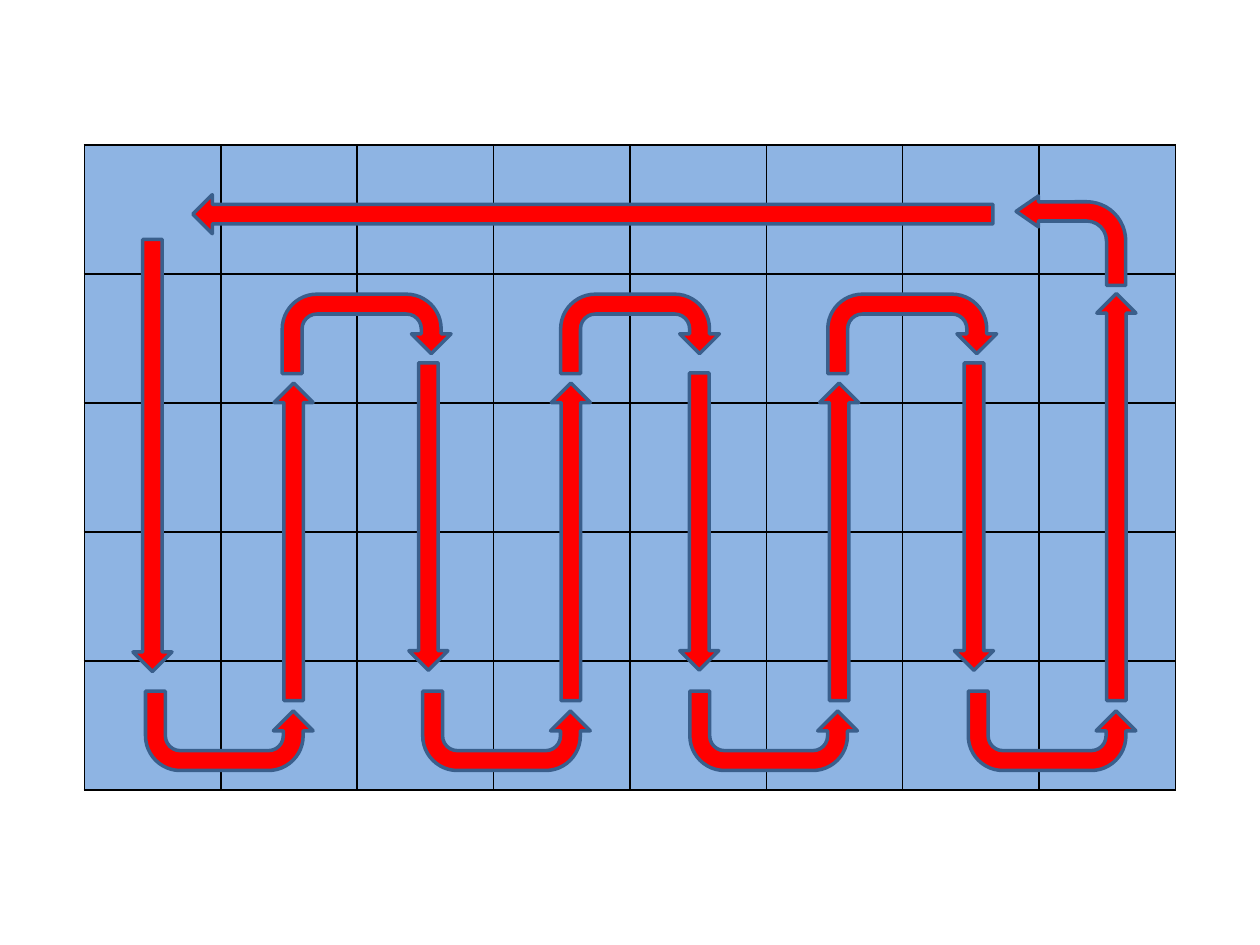
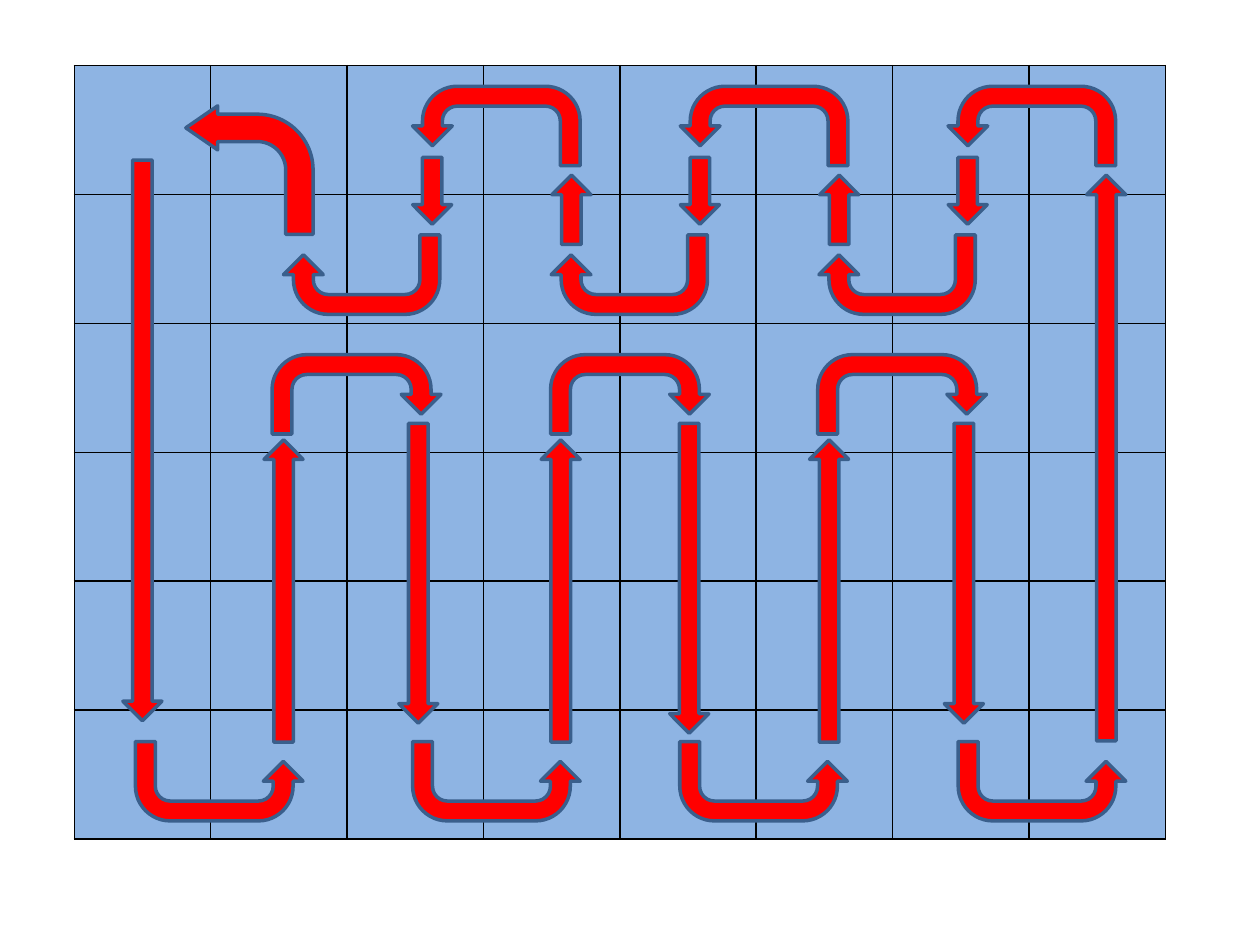
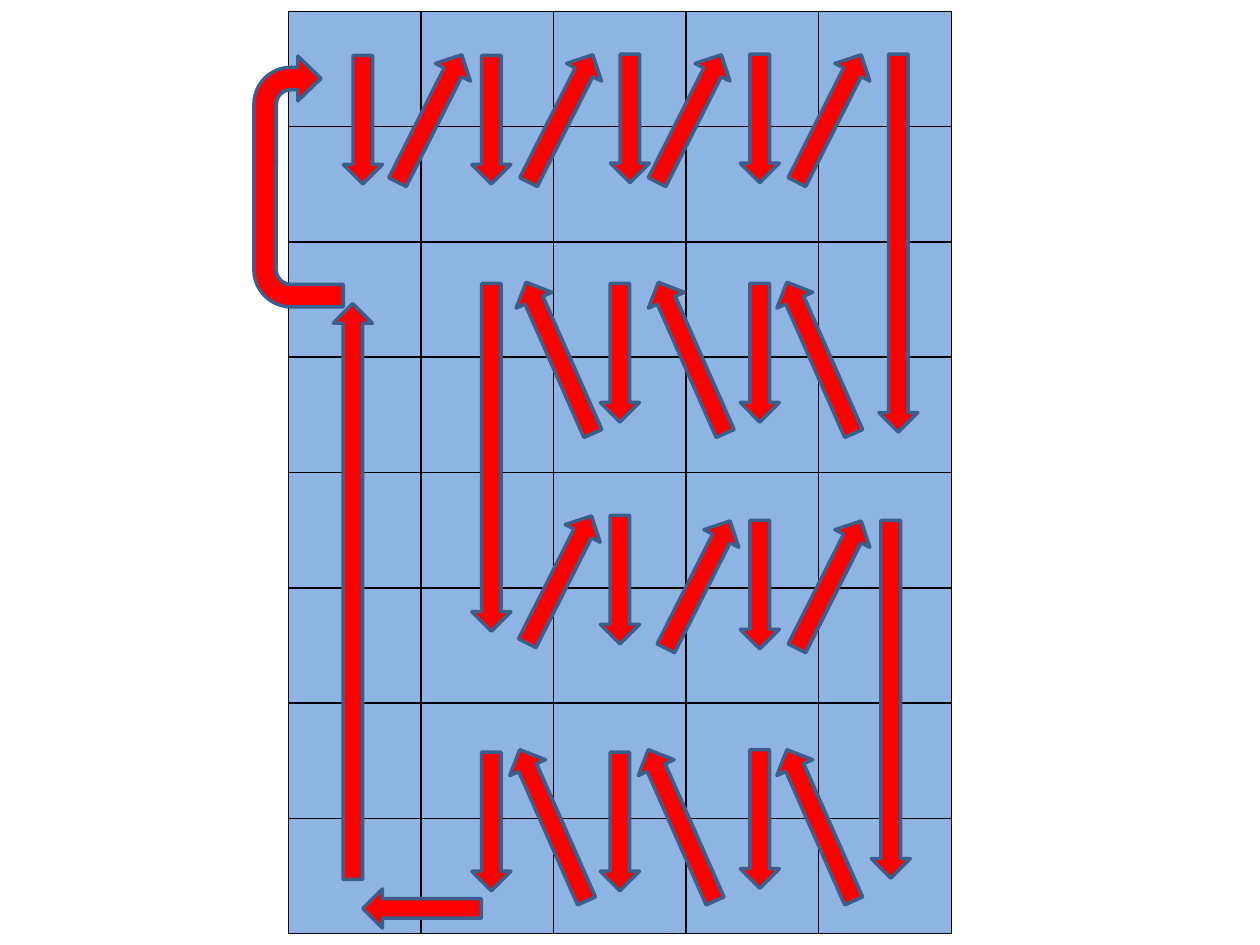
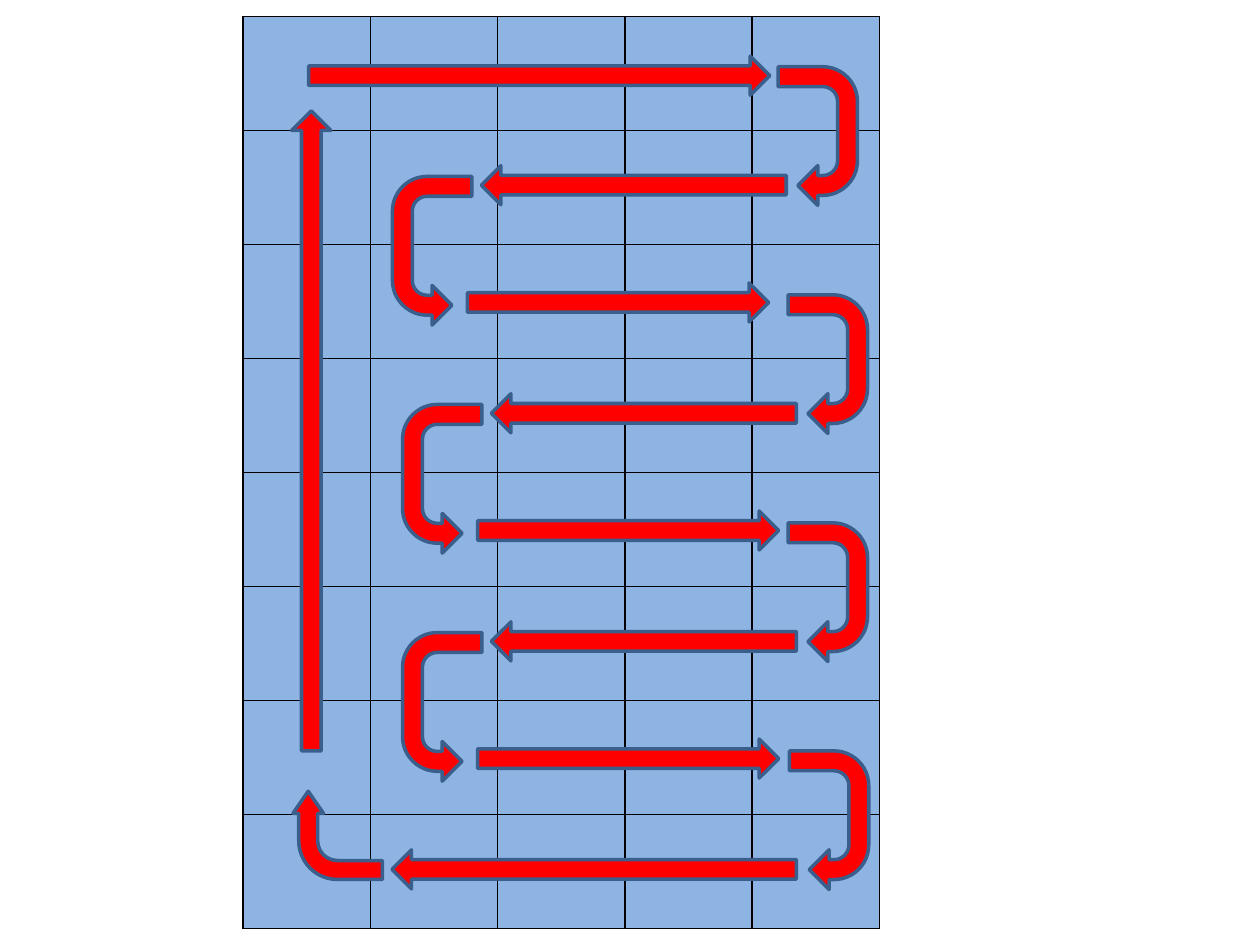
from math import atan2, degrees, hypot

from lxml.etree import SubElement
from pptx import Presentation
from pptx.dml.color import RGBColor
from pptx.enum.shapes import MSO_SHAPE as Preset
from pptx.oxml.ns import qn
from pptx.util import Inches, Pt

SLIDE_COLUMNS, SLIDE_ROWS = 10, 7.5
UNIT = Inches(1)
CELL_BLUE = RGBColor(0x8E, 0xB4, 0xE3)
GRID_BLACK = RGBColor(0x00, 0x00, 0x00)
ARROW_RED = RGBColor(0xFF, 0x00, 0x00)
OUTLINE_BLUE = RGBColor(0x3A, 0x5F, 0x8C)
ARROW_WIDTH = 0.31
TURN_DEPTH = 0.63
BEND_ADJUSTMENTS = (0.215, 0.173, 0.25, 0.438)


def units(value):
    """Convert slide columns or rows to a length."""
    return round(value * UNIT)


def border_cell(cell):
    """Draw a thin black line on each side of a cell."""
    properties = cell._tc.get_or_add_tcPr()
    for side in ("a:lnL", "a:lnR", "a:lnT", "a:lnB"):
        line = SubElement(properties, qn(side), w=str(Pt(1)))
        fill = SubElement(line, qn("a:solidFill"))
        SubElement(fill, qn("a:srgbClr"), val=str(GRID_BLACK))


def add_field(slide, left, top, width, height, columns, rows):
    """Add the blue field as a table of equal cells."""
    table = slide.shapes.add_table(
        rows, columns, units(left), units(top), units(width), units(height)).table
    table.first_row = table.horz_banding = False
    for column in table.columns:
        column.width = units(width / columns)
    for row in table.rows:
        row.height = units(height / rows)
    for cell in table.iter_cells():
        border_cell(cell)
        cell.fill.solid()
        cell.fill.fore_color.rgb = CELL_BLUE


def add_arrow(slide, preset, center, size, rotation=0, flip=False, adjustments=()):
    """Add a red block arrow around its centre."""
    (x, y), (width, height) = center, size
    shape = slide.shapes.add_shape(
        preset, units(x - width / 2), units(y - height / 2), units(width), units(height))
    shape.rotation = rotation
    shape.shadow.inherit = False
    shape.fill.solid()
    shape.fill.fore_color.rgb = ARROW_RED
    shape.line.color.rgb = OUTLINE_BLUE
    shape.line.width = Pt(2)
    for index, value in enumerate(adjustments):
        shape.adjustments[index] = value
    if flip:
        shape.element.spPr.find(qn("a:xfrm")).set("flipH", "1")


def add_straight(slide, tail, head):
    """Add a straight arrow from tail to head."""
    run, rise = head[0] - tail[0], head[1] - tail[1]
    center = (tail[0] + head[0]) / 2, (tail[1] + head[1]) / 2
    add_arrow(slide, Preset.DOWN_ARROW, center, (ARROW_WIDTH, hypot(run, rise)),
              degrees(atan2(-run, rise)) % 360)


def add_vertical(slide, x, start, end):
    """Add an upright arrow between two heights."""
    add_straight(slide, (x, start), (x, end))


def add_horizontal(slide, y, start, end):
    """Add a level arrow between two sides."""
    add_straight(slide, (start, y), (end, y))


def add_slants(slide, y, centers, run, rise):
    """Add parallel slanted arrows that point upwards."""
    for x in centers:
        add_straight(slide, (x - run / 2, y + rise / 2), (x + run / 2, y - rise / 2))


def add_turn(slide, center, span, rotation=0, flip=False):
    """Add a U-turn arrow."""
    add_arrow(slide, Preset.U_TURN_ARROW, center, (span, TURN_DEPTH), rotation, flip)


def add_bend(slide, center, size, rotation=0, flip=False):
    """Add a quarter-turn arrow."""
    add_arrow(slide, Preset.BENT_ARROW, center, size, rotation, flip, BEND_ADJUSTMENTS)


def add_weave(slide, shift, low_turn, high_turn, first, last, up, downs):
    """Add the up-and-down route that crosses the field to the right."""
    add_vertical(slide, 1.21 + shift, *first)
    for x in (1.82, 4.02, 6.14, 8.35):
        add_turn(slide, (x + shift, low_turn), 1.33, 180, True)
    for x in (2.33, 4.53, 6.66):
        add_vertical(slide, x + shift, *up)
    for x, span in ((2.91, 1.34), (5.08, 1.26), (7.24, 1.34)):
        add_turn(slide, (x + shift, high_turn), span)
    for x, heights in zip((3.4, 5.55, 7.73), downs):
        add_vertical(slide, x + shift, *heights)
    add_vertical(slide, 8.86 + shift, *last)


def build_straight_return(slide):
    """Weave to the right and return along the top row."""
    add_field(slide, 0.67, 1.15, 8.66, 5.12, 8, 5)
    add_weave(slide, 0, 5.8, 2.65, first=(1.9, 5.33), last=(5.56, 2.33),
              up=(5.56, 3.04), downs=((2.88, 5.32), (2.96, 5.32), (2.88, 5.32)))
    add_bend(slide, (8.5, 1.91), (0.87, 0.71), flip=True)
    add_horizontal(slide, 1.7, 7.88, 1.53)


def build_woven_return(slide):
    """Weave to the right and weave back through the top rows."""
    add_field(slide, 0.59, 0.52, 8.66, 6.14, 8, 6)
    add_weave(slide, -0.08, 6.2, 3.13, first=(1.27, 5.72), last=(5.88, 1.39),
              up=(5.89, 3.49), downs=((3.36, 5.74), (3.36, 5.82), (3.36, 5.74)))
    step = 2.125
    for loop in range(3):
        shift = -step * loop
        add_turn(slide, (8.19 + shift, 1), 1.33, flip=True)
        add_vertical(slide, 7.68 + shift, 1.25, 1.78)
        add_turn(slide, (7.12 + shift, 2.18), 1.24, 180)
        if loop < 2:
            add_vertical(slide, 6.66 + shift, 1.94, 1.39)
    add_bend(slide, (1.98, 1.35), (1.01, 1.02), flip=True)


def build_zigzag(slide):
    """Zigzag down the field in pairs of rows."""
    add_field(slide, 2.29, 0.09, 5.26, 7.32, 5, 8)
    strokes = (
        (2.88, 0.44, 1.46), (3.9, 0.44, 1.46), (5, 0.43, 1.45), (6.03, 0.43, 1.45),
        (7.13, 0.43, 3.43),
        (6.03, 2.25, 3.35), (4.92, 2.25, 3.35), (3.9, 2.25, 5.01),
        (4.92, 4.09, 5.11), (6.03, 4.13, 5.15), (7.07, 4.13, 6.97),
        (6.03, 5.95, 7.05), (4.92, 5.97, 7.07), (3.9, 5.97, 7.07),
        (2.8, 6.98, 2.41),
    )
    for stroke in strokes:
        add_vertical(slide, *stroke)
    right_slant, left_slant = (0.51, 1.01), (-0.53, 1.2)
    add_slants(slide, 0.94, (3.41, 4.45, 5.47, 6.58), *right_slant)
    add_slants(slide, 2.84, (6.51, 5.49, 4.44), *left_slant)
    add_slants(slide, 4.6, (4.44,), *right_slant)
    add_slants(slide, 4.64, (5.54, 6.58), *right_slant)
    add_slants(slide, 6.55, (6.51, 5.41, 4.39), *left_slant)
    add_horizontal(slide, 7.21, 3.82, 2.88)
    add_arrow(slide, Preset.U_TURN_ARROW, (2.37, 1.44), (1.99, 0.71), 270,
              adjustments=(0.25, 0.25, 0.258, 0.416, 0.75))


def build_serpentine(slide):
    """Sweep from side to side down the field and return on the left."""
    add_field(slide, 1.93, 0.13, 5.05, 7.24, 5, 8)
    add_vertical(slide, 2.47, 5.96, 0.88)
    add_bend(slide, (2.68, 6.63), (0.7, 0.71), 270)
    add_horizontal(slide, 0.6, 2.45, 6.11)
    step = 1.81
    for sweep, x in enumerate((6.49, 6.57, 6.57, 6.58)):
        add_turn(slide, (x, 1.08 + step * sweep), 1.1, 90)
    for sweep, shift in enumerate((0, 0.08, 0.08)):
        drop = step * sweep
        add_horizontal(slide, 1.47 + drop, 6.24 + shift, 3.82 + shift)
        add_turn(slide, (3.43 + shift, 1.99 + drop), 1.18, 270, True)
        add_horizontal(slide, 2.4 + drop, 3.71 + shift, 6.1 + shift)
    add_horizontal(slide, 6.9, 6.32, 3.11)


def main():
    """Build the four route slides and save them."""
    presentation = Presentation()
    presentation.slide_width = units(SLIDE_COLUMNS)
    presentation.slide_height = units(SLIDE_ROWS)
    blank = presentation.slide_layouts[6]
    for build in (build_straight_return, build_woven_return, build_zigzag, build_serpentine):
        build(presentation.slides.add_slide(blank))
    presentation.save("out.pptx")


if __name__ == "__main__":
    main()
